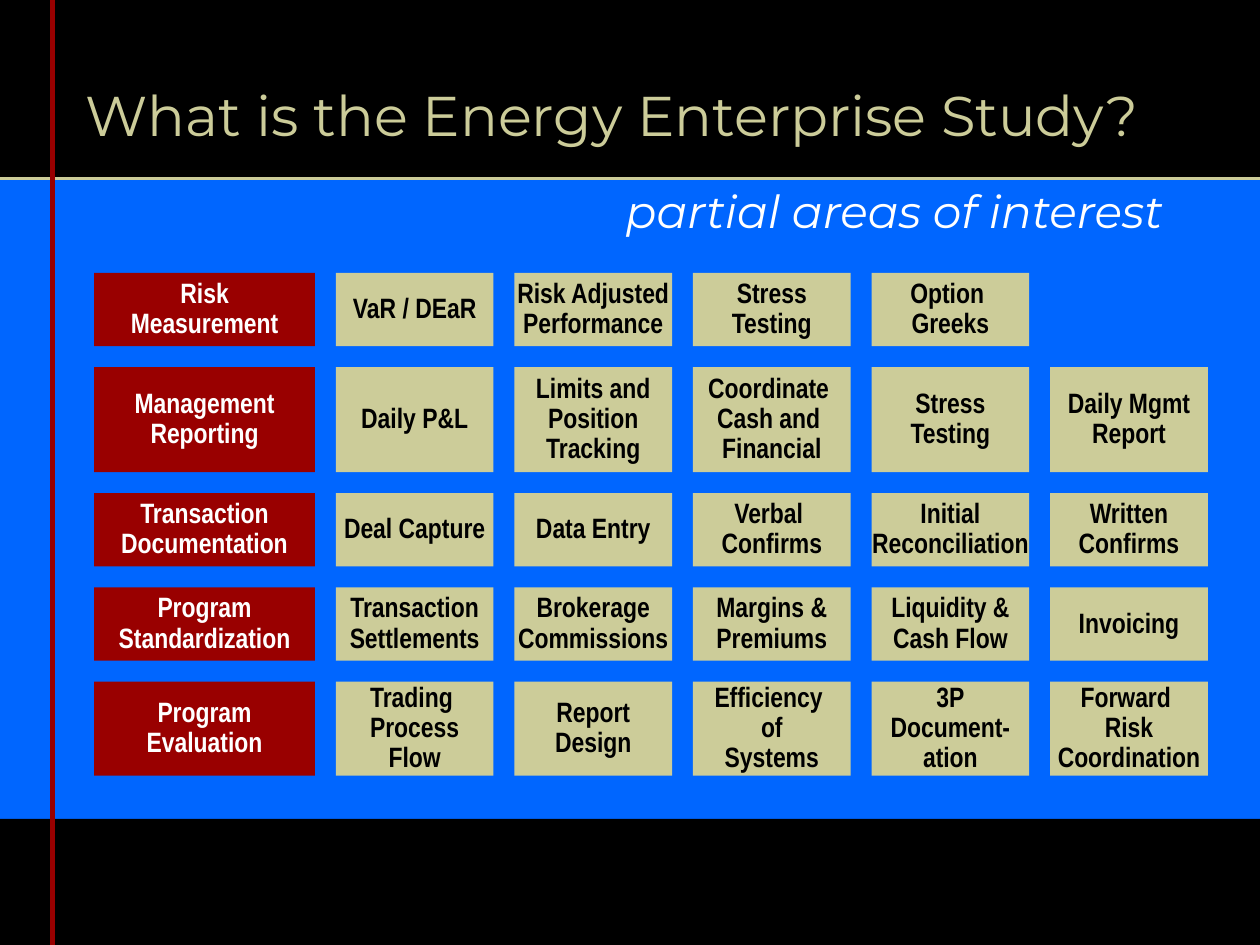
import copy

import lxml.etree
import pptx
import pptx.dml.color
import pptx.enum.shapes
import pptx.enum.text
import pptx.oxml.ns
import pptx.util

Cm = pptx.util.Cm
Pt = pptx.util.Pt
RGBColor = pptx.dml.color.RGBColor
ALIGN = pptx.enum.text.PP_ALIGN
qn = pptx.oxml.ns.qn

BLUE = RGBColor(0x00, 0x66, 0xFF)
BLACK = RGBColor(0x00, 0x00, 0x00)
WHITE = RGBColor(0xFF, 0xFF, 0xFF)
RED = RGBColor(0x99, 0x00, 0x00)
SAND = RGBColor(0xCC, 0xCC, 0x99)

WIDTH, HEIGHT = 25.4, 19.05
GAP = 0.42
LABEL_WIDTH, CELL_WIDTH = 4.45, 3.18

# Each row: height in cm, label, cells. "\n" starts a paragraph, "\v" a line.
ROWS = [
    (1.48, "Risk\nMeasurement",
     ["VaR / DEaR", "Risk Adjusted\nPerformance", "Stress\nTesting",
      "Option \vGreeks"]),
    (2.12, "Management\nReporting",
     ["Daily P&L", "Limits and\nPosition\vTracking",
      "Coordinate \vCash and \vFinancial", "Stress\nTesting",
      "Daily Mgmt\nReport"]),
    (1.48, "Transaction\nDocumentation",
     ["Deal Capture", "Data Entry", "Verbal \vConfirms",
      "Initial\nReconciliation", "Written\nConfirms"]),
    (1.48, "Program\nStandardization",
     ["Transaction\nSettlements", "Brokerage\nCommissions",
      "Margins &\nPremiums", "Liquidity &\nCash Flow", "Invoicing"]),
    (1.9, "Program\nEvaluation",
     ["Trading \vProcess\nFlow", "Report\nDesign", "Efficiency \vof\nSystems",
      "3P\nDocument-\vation", "Forward \vRisk\nCoordination"]),
]


def write(s, text, font, size, color, align, spacing, bold=False, italic=False):
    tf = s.text_frame
    tf.text = text
    tf.vertical_anchor = pptx.enum.text.MSO_ANCHOR.MIDDLE
    for p in tf.paragraphs:
        p.alignment = align
        p.line_spacing = spacing
        for r in p.runs:
            r.font.name = font
            r.font.size = Pt(size)
            r.font.bold = bold
            r.font.italic = italic
            r.font.color.rgb = color
        # Line breaks take the run format, so that they keep the line height.
        for br in p._p.findall(qn("a:br")):
            br.insert(0, copy.deepcopy(p.runs[0]._r.find(qn("a:rPr"))))


def add_box(slide, left, top, width, height, fill):
    s = slide.shapes.add_shape(pptx.enum.shapes.MSO_SHAPE.RECTANGLE,
                               Cm(left), Cm(top), Cm(width), Cm(height))
    s.shadow.inherit = False
    s.fill.solid()
    s.fill.fore_color.rgb = fill
    s.line.fill.background()
    return s


def add_line(slide, x1, y1, x2, y2, color, width):
    c = slide.shapes.add_connector(pptx.enum.shapes.MSO_CONNECTOR.STRAIGHT,
                                   Cm(x1), Cm(y1), Cm(x2), Cm(y2))
    c.line.color.rgb = color
    c.line.width = Pt(width)
    lxml.etree.SubElement(c._element.spPr, qn("a:effectLst"))


def add_frame(slide, header_bottom, footer_top, rule_x):
    header = add_box(slide, 0, 0, WIDTH, header_bottom, BLACK)
    header.line.color.rgb = BLACK
    header.line.width = Pt(0.75)
    add_line(slide, 0, header_bottom, WIDTH, header_bottom, SAND, 2)
    add_box(slide, 0, footer_top, WIDTH, HEIGHT - footer_top, BLACK)
    add_line(slide, rule_x, 0, rule_x, HEIGHT, RED, 3)


def add_heading(slide, left, top, width, text, size, color, align, italic=False):
    s = slide.shapes.add_textbox(Cm(left), Cm(top), Cm(width), Cm(1.9))
    s.text_frame.word_wrap = True
    write(s, text, "Montserrat", size, color, align, 0.8, italic=italic)


def add_tile(slide, left, top, width, height, text, fill, color):
    s = add_box(slide, left, top, width, height, fill)
    s.text_frame.word_wrap = False
    write(s, text, "Arial Narrow", 16, color, ALIGN.CENTER, 0.9, bold=True)


def add_grid(slide, left, top):
    for height, label, cells in ROWS:
        add_tile(slide, left, top, LABEL_WIDTH, height, label, RED, WHITE)
        x = left + LABEL_WIDTH + GAP
        for cell in cells:
            add_tile(slide, x, top, CELL_WIDTH, height, cell, SAND, BLACK)
            x += CELL_WIDTH + GAP
        top += height + GAP


def main():
    prs = pptx.Presentation()
    prs.slide_width, prs.slide_height = Cm(WIDTH), Cm(HEIGHT)
    slide = prs.slides.add_slide(prs.slide_layouts[6])
    slide.background.fill.solid()
    slide.background.fill.fore_color.rgb = BLUE
    add_frame(slide, 3.6, 16.51, 1.06)
    add_heading(slide, 1.48, 1.48, 23.92,
                "What is the Energy Enterprise Study?", 32, SAND, ALIGN.LEFT)
    add_heading(slide, 1.48, 3.39, 22.23,
                "partial areas of interest", 26, WHITE, ALIGN.RIGHT, italic=True)
    add_grid(slide, 1.9, 5.5)
    prs.save("out.pptx")


if __name__ == "__main__":
    main()
